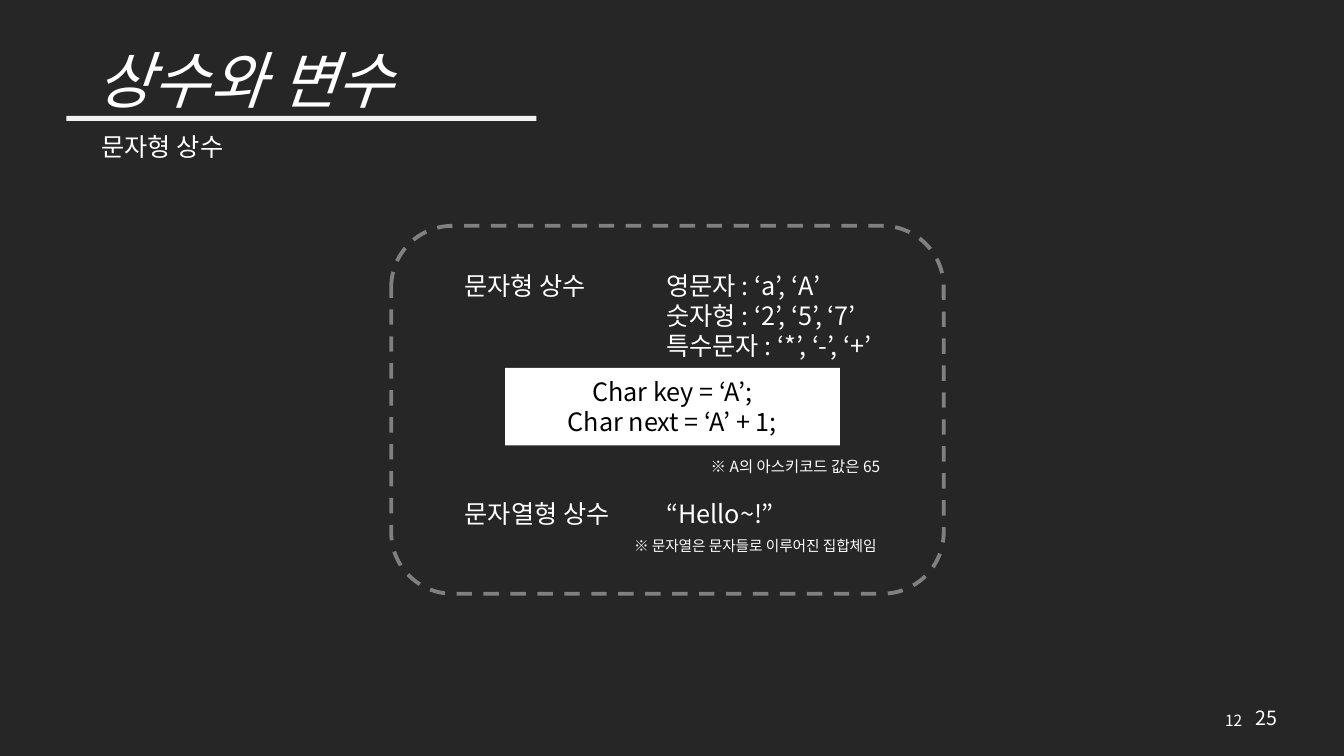
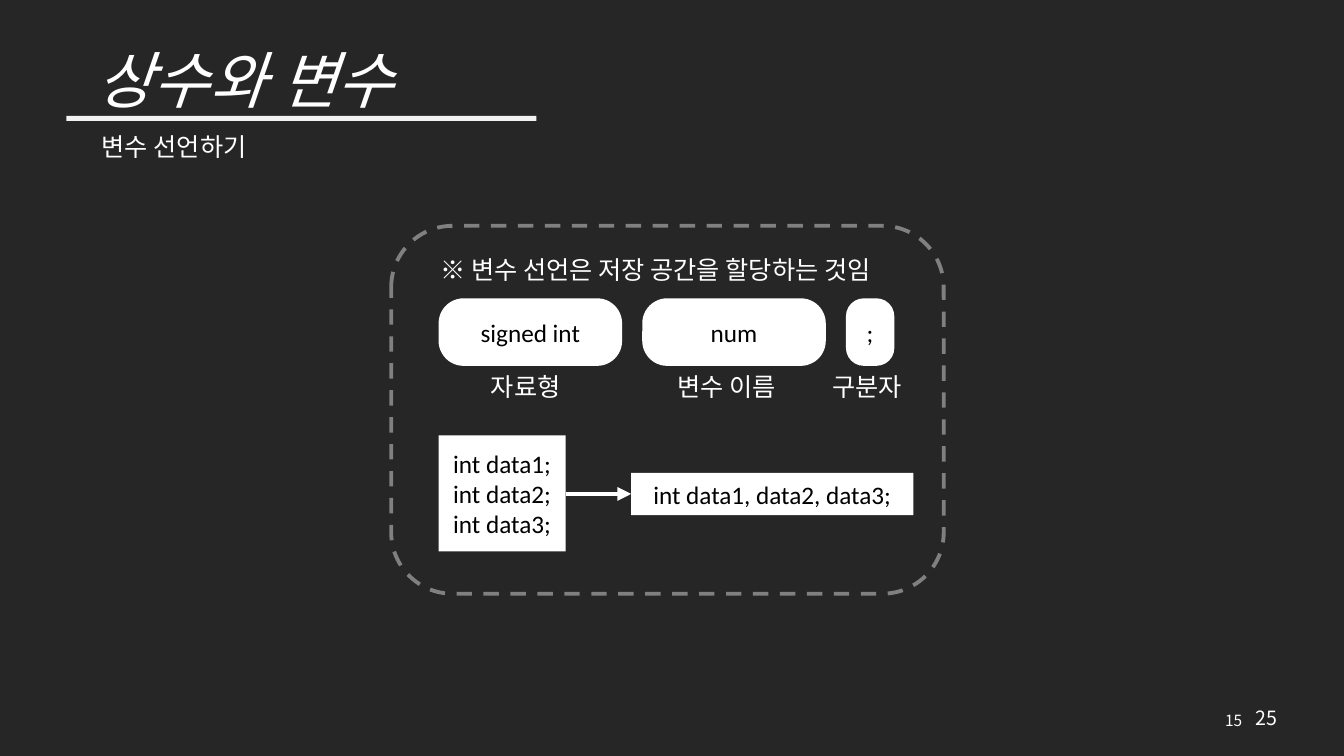
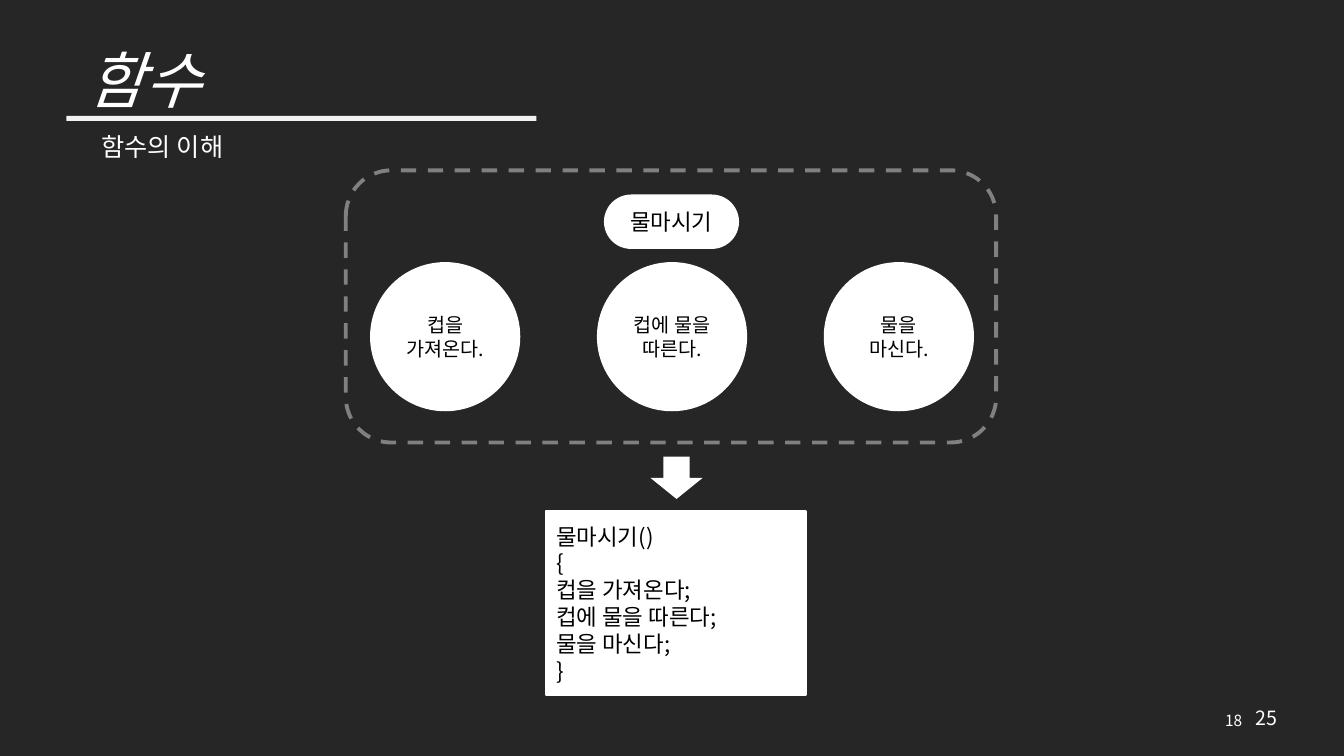
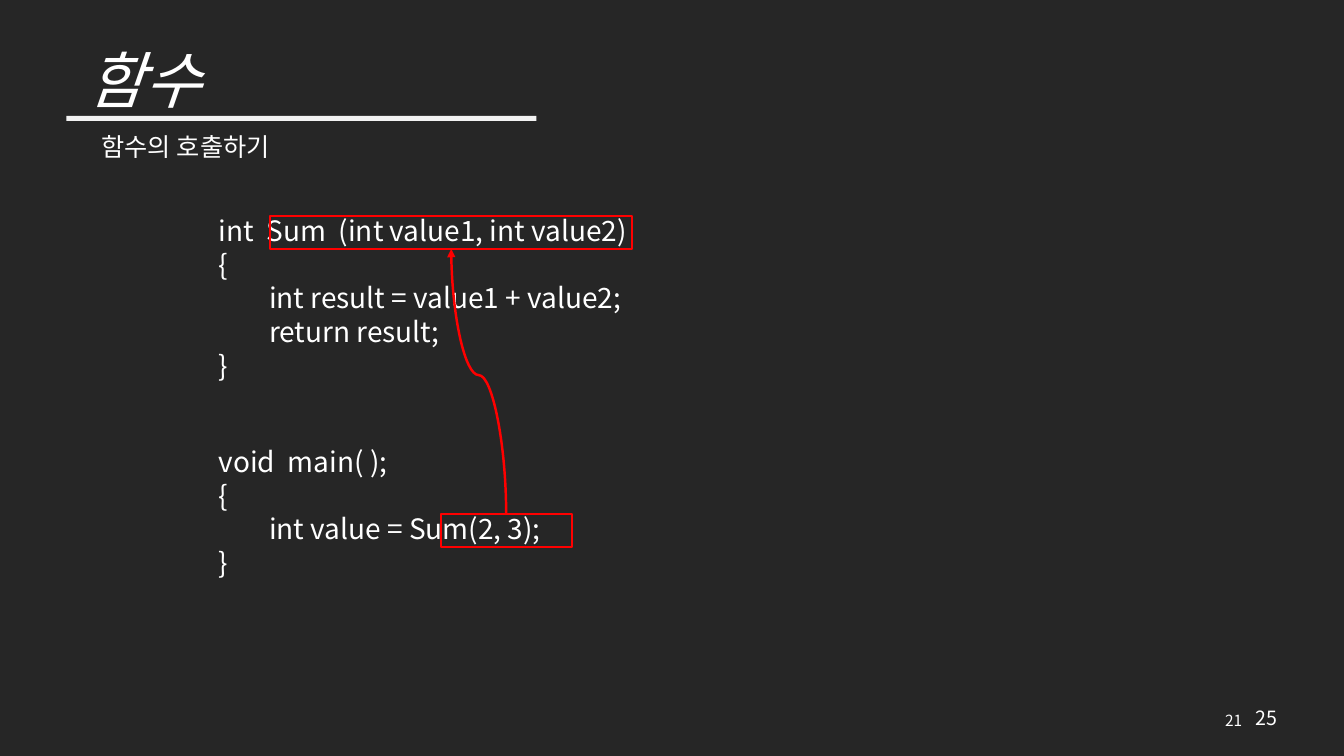
"""Build four lecture slides on constants, variables and functions."""
from dataclasses import dataclass
from typing import Any, NamedTuple, Optional

from lxml import etree
from pptx import Presentation
from pptx.dml.color import RGBColor
from pptx.enum.dml import MSO_LINE
from pptx.enum.shapes import MSO_CONNECTOR, MSO_SHAPE
from pptx.enum.text import MSO_ANCHOR, MSO_AUTO_SIZE, PP_ALIGN
from pptx.oxml.ns import qn
from pptx.slide import Slide
from pptx.util import Inches, Pt

LEFT, CENTER, RIGHT = PP_ALIGN.LEFT, PP_ALIGN.CENTER, PP_ALIGN.RIGHT
TOP, MIDDLE = MSO_ANCHOR.TOP, MSO_ANCHOR.MIDDLE
GROW, FIXED = MSO_AUTO_SIZE.SHAPE_TO_FIT_TEXT, MSO_AUTO_SIZE.NONE
RECT, ROUNDED = MSO_SHAPE.RECTANGLE, MSO_SHAPE.ROUNDED_RECTANGLE
OVAL, DOWN_ARROW = MSO_SHAPE.OVAL, MSO_SHAPE.DOWN_ARROW
STRAIGHT, CURVE = MSO_CONNECTOR.STRAIGHT, MSO_CONNECTOR.CURVE
DASH = MSO_LINE.DASH


@dataclass(frozen=True)
class Theme:
    """Colours, fonts and type sizes of the deck."""

    background: str = "262626"
    white: str = "FFFFFF"
    black: str = "000000"
    rule: str = "F2F2F2"
    frame: str = "808080"
    accent: str = "FF0000"
    korean: str = "Noto Sans CJK KR"
    latin: str = "Calibri"
    title: float = 44
    code: float = 20
    body: float = 18
    step: float = 16
    small: float = 14
    note: float = 11
    fine: float = 10.5


THEME = Theme()


class Box(NamedTuple):
    """Left, top, width and height in inches."""

    left: float
    top: float
    width: float
    height: float


class Point(NamedTuple):
    """A position in inches."""

    x: float
    y: float


@dataclass(frozen=True)
class Text:
    """Paragraphs with one common format."""

    lines: tuple[str, ...]
    size: float = THEME.body
    font: str = THEME.korean
    color: str = THEME.white
    align: PP_ALIGN = LEFT
    anchor: MSO_ANCHOR = TOP
    italic: bool = False
    spacing: Optional[float] = None
    wrap: bool = True
    fit: MSO_AUTO_SIZE = GROW
    indented: tuple[int, ...] = ()


@dataclass(frozen=True)
class Panel:
    """A preset shape with optional fill, outline and text."""

    box: Box
    kind: MSO_SHAPE = RECT
    fill: Optional[str] = THEME.white
    outline: Optional[str] = None
    weight: float = 1.5
    dash: Optional[MSO_LINE] = None
    rounding: Optional[float] = None
    text: Optional[Text] = None


@dataclass(frozen=True)
class Chip:
    """One part of a declaration with its caption."""

    code: str
    width: float
    caption: str
    caption_left: float
    caption_width: float
    align: PP_ALIGN = LEFT


def apply(target: Any, values: dict[str, Any]) -> None:
    """Set every named format value on the target."""
    for name, value in values.items():
        setattr(target, name, value)


def emu(values: tuple[float, ...]) -> list[int]:
    """Convert inches to lengths."""
    return [Inches(value) for value in values]


def write(frame: Any, text: Text) -> None:
    """Fill a text frame with formatted paragraphs."""
    apply(frame, {"word_wrap": text.wrap, "auto_size": text.fit,
                  "vertical_anchor": text.anchor})
    for index, line in enumerate(text.lines):
        paragraph = frame.add_paragraph() if index else frame.paragraphs[0]
        apply(paragraph, {"alignment": text.align, "line_spacing": text.spacing})
        if index in text.indented:
            paragraph._p.get_or_add_pPr().set("marL", str(Inches(0.5)))
        run = paragraph.add_run()
        run.text = line
        apply(run.font, {"size": Pt(text.size), "name": text.font,
                         "italic": text.italic})
        run.font.color.rgb = RGBColor.from_string(text.color)
        east_asian = etree.SubElement(run._r.get_or_add_rPr(), qn("a:ea"))
        east_asian.set("typeface", THEME.korean)


def draw_text(slide: Slide, box: Box, text: Text) -> None:
    """Place a text box."""
    write(slide.shapes.add_textbox(*emu(box)).text_frame, text)


def draw_panel(slide: Slide, panel: Panel) -> None:
    """Place a preset shape."""
    shape = slide.shapes.add_shape(panel.kind, *emu(panel.box))
    shape.shadow.inherit = False
    if panel.rounding is not None:
        shape.adjustments[0] = panel.rounding
    if panel.fill:
        shape.fill.solid()
        shape.fill.fore_color.rgb = RGBColor.from_string(panel.fill)
    else:
        shape.fill.background()
    if panel.outline:
        shape.line.color.rgb = RGBColor.from_string(panel.outline)
        apply(shape.line, {"width": Pt(panel.weight), "dash_style": panel.dash})
    else:
        shape.line.fill.background()
    if panel.text:
        write(shape.text_frame, panel.text)


def draw_arrow(slide: Slide, kind: MSO_CONNECTOR, start: Point, end: Point,
               color: str, weight: float) -> Any:
    """Place a connector with a triangle at its end."""
    arrow = slide.shapes.add_connector(kind, *emu(start + end))
    arrow.line.color.rgb = RGBColor.from_string(color)
    arrow.line.width = Pt(weight)
    tail = etree.SubElement(arrow.line._get_or_add_ln(), qn("a:tailEnd"))
    tail.set("type", "triangle")
    etree.SubElement(arrow._element.spPr, qn("a:effectLst"))
    return arrow


def draw_rising_curve(slide: Slide, start: Point, end: Point, bend: int) -> None:
    """Place a curved arrow that leaves and arrives vertically."""
    middle = Point((start.x + end.x) / 2, (start.y + end.y) / 2)
    run, rise = (start.y - end.y) / 2, (start.x - end.x) / 2
    arrow = draw_arrow(slide, CURVE, Point(middle.x - run, middle.y + rise),
                       Point(middle.x + run, middle.y - rise), THEME.accent, 1.75)
    properties = arrow._element.spPr
    properties.find(qn("a:xfrm")).set("rot", str(270 * 60000))
    guide = etree.SubElement(properties.find(".//" + qn("a:avLst")), qn("a:gd"))
    guide.set("name", "adj1")
    guide.set("fmla", f"val {bend}")


def dark(*lines: str, size: float = THEME.body, font: str = THEME.korean,
         align: PP_ALIGN = CENTER) -> Text:
    """Describe black text for a white panel."""
    return Text(lines, size, font, THEME.black, align, MIDDLE, fit=FIXED)


def draw_frame(slide: Slide, box: Box) -> None:
    """Place the dashed rounded frame."""
    draw_panel(slide, Panel(box, ROUNDED, None, THEME.frame, 2.75, DASH))


def start_slide(deck: Any, title: str, title_box: Box, topic: str,
                number: int) -> Slide:
    """Add a slide with its heading and page numbers."""
    slide = deck.slides.add_slide(deck.slide_layouts[6])
    draw_text(slide, Box(12.35, 6.95, 0.42, 0.34),
              Text(("25",), THEME.small, wrap=False))
    draw_text(slide, title_box,
              Text((title,), THEME.title, align=CENTER, anchor=MIDDLE,
                   italic=True, spacing=0.9, fit=FIXED))
    draw_text(slide, Box(9.42, 6.95, 3, 0.4),
              Text((str(number),), THEME.note, align=RIGHT, anchor=MIDDLE,
                   fit=FIXED))
    draw_panel(slide, Panel(Box(0.66, 1.15, 4.66, 0.05), fill=THEME.rule))
    draw_text(slide, Box(0.91, 1.25, 3.14, 0.4), Text((topic,), font=THEME.latin))
    return slide


VARIABLES = ("상수와 변수", Box(0.35, 0.29, 4.16, 1.08))
FUNCTIONS = ("함수", Box(0.31, 0.29, 2.24, 1.08))
CONTENT_FRAME = Box(3.88, 2.24, 5.48, 3.65)


def build_character_constants(deck: Any) -> None:
    """Show character and string constants."""
    slide = start_slide(deck, *VARIABLES, "문자형 상수", 12)
    draw_frame(slide, CONTENT_FRAME)
    term_left, example_left = 4.51, 6.51
    character_top, string_top = 2.63, 4.89
    examples = ("영문자 : ‘a’, ‘A’", "숫자형 : ‘2’, ‘5’, ‘7’",
                "특수문자 : ‘*’, ‘-’, ‘+’")
    for box, text in (
        (Box(term_left, character_top, 1.6, 0.4), Text(("문자형 상수",))),
        (Box(example_left, character_top, 2.45, 1.01), Text(examples, wrap=False)),
        (Box(6.95, 4.49, 3.21, 0.29),
         Text(("※ A의 아스키코드 값은 65",), THEME.note)),
        (Box(term_left, string_top, 1.81, 0.41), Text(("문자열형 상수",))),
        (Box(example_left, string_top, 1.28, 0.4),
         Text(("“Hello~!”",), wrap=False)),
        (Box(6.19, 5.28, 4.74, 0.28),
         Text(("※ 문자열은 문자들로 이루어진 집합체임",), THEME.fine)),
    ):
        draw_text(slide, box, text)
    draw_panel(slide, Panel(Box(5.01, 3.65, 3.32, 0.77),
                            text=dark("Char key = ‘A’;", "Char next = ‘A’ + 1;")))


def build_declarations(deck: Any) -> None:
    """Show the parts of a variable declaration."""
    slide = start_slide(deck, *VARIABLES, "변수 선언하기", 15)
    left, gap = 4.35, 0.2
    chip_left = left
    for chip in (
        Chip("signed int", 1.82, "자료형", 4.77, 1),
        Chip("num", 1.82, "변수 이름", 6.62, 1.32),
        Chip(";", 0.48, "구분자", 7.94, 1.32, CENTER),
    ):
        draw_panel(slide, Panel(Box(chip_left, 2.96, chip.width, 0.67), ROUNDED,
                                rounding=0.37,
                                text=dark(chip.code, font=THEME.latin)))
        draw_text(slide, Box(chip.caption_left, 3.63, chip.caption_width, 0.4),
                  Text((chip.caption,), font=THEME.latin, align=chip.align))
        chip_left += chip.width + gap
    draw_text(slide, Box(4.27, 2.47, 5.53, 0.4),
              Text(("※ 변수 선언은 저장 공간을 할당하는 것임",), font=THEME.latin))
    draw_frame(slide, CONTENT_FRAME)
    separate = Box(left, 4.32, 1.26, 1.15)
    combined = Box(6.26, 4.69, 2.8, 0.42)
    names = [f"data{index}" for index in range(1, 4)]
    draw_panel(slide, Panel(separate, text=dark(
        *(f"int {name};" for name in names), font=THEME.latin)))
    draw_panel(slide, Panel(combined, text=dark(
        f"int {', '.join(names)};", font=THEME.latin)))
    arrow_y = combined.top + combined.height / 2
    draw_arrow(slide, STRAIGHT, Point(separate.left + separate.width, arrow_y),
               Point(combined.left, arrow_y), THEME.white, 3.25)


def build_function_idea(deck: Any) -> None:
    """Show a function as a group of steps."""
    slide = start_slide(deck, *FUNCTIONS, "함수의 이해", 18)
    name = "물마시기"
    steps = ("컵을 가져온다", "컵에 물을 따른다", "물을 마신다")
    for index, step in enumerate(steps):
        draw_panel(slide, Panel(Box(3.67 + 2.25 * index, 2.6, 1.49, 1.48), OVAL,
                                text=dark(f"{step}.", size=THEME.small)))
    code = (f"{name}()", "{", *(f"{step};" for step in steps), "}")
    draw_panel(slide, Panel(Box(5.42, 5.07, 2.57, 1.83), outline=THEME.white,
                            text=dark(*code, size=THEME.step, align=LEFT)))
    draw_frame(slide, Box(3.43, 1.69, 6.45, 2.7))
    draw_panel(slide, Panel(Box(6.45, 4.53, 0.52, 0.42), DOWN_ARROW))
    draw_panel(slide, Panel(Box(5.99, 1.93, 1.34, 0.54), ROUNDED, rounding=0.5,
                            text=dark(name, size=THEME.step)))


def build_function_call(deck: Any) -> None:
    """Show how a call reaches its function."""
    slide = start_slide(deck, *FUNCTIONS, "함수의 호출하기", 21)
    definition = ("int  Sum  (int value1, int value2)", "{",
                  "int result = value1 + value2;", "return result;", "}")
    caller = ("void  main( );", "{", "int value = Sum(2, 3);", "}")
    draw_text(slide, Box(2.07, 2.07, 4.57, 1.78),
              Text(definition, THEME.code, indented=(2, 3)))
    draw_text(slide, Box(2.07, 4.36, 4.57, 1.45),
              Text(caller, THEME.code, indented=(2,)))
    call, signature = Box(4.37, 5.1, 1.3, 0.33), Box(2.68, 2.14, 3.59, 0.33)
    for mark in (call, signature):
        draw_panel(slide, Panel(mark, fill=None, outline=THEME.accent))
    draw_rising_curve(slide, Point(call.left + call.width / 2, call.top),
                      Point(signature.left + signature.width / 2,
                            signature.top + signature.height), 52400)


def main() -> None:
    """Build and save the deck."""
    deck = Presentation()
    apply(deck, {"slide_width": Inches(13.33), "slide_height": Inches(7.5)})
    backdrop = deck.slide_master.background.fill
    backdrop.solid()
    backdrop.fore_color.rgb = RGBColor.from_string(THEME.background)
    for build in (build_character_constants, build_declarations,
                  build_function_idea, build_function_call):
        build(deck)
    deck.save("out.pptx")


main()
